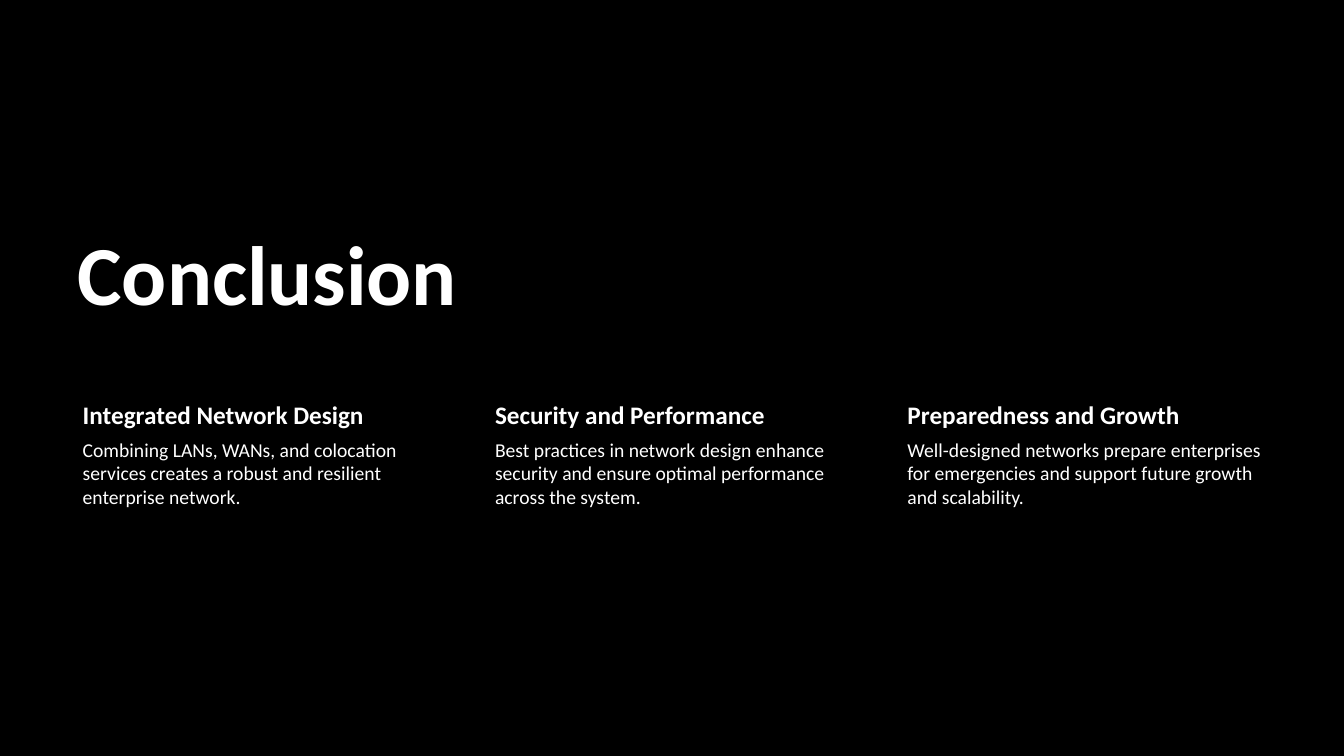
"""Build the conclusion slide with a title and three takeaways."""
from pptx import Presentation
from pptx.dml.color import RGBColor
from pptx.enum.text import MSO_ANCHOR
from pptx.util import Inches, Pt

BLACK = RGBColor(0, 0, 0)
WHITE = RGBColor(255, 255, 255)
POINTS = [
    ("Integrated Network Design",
     "Combining LANs, WANs, and colocation services creates a robust and "
     "resilient enterprise network."),
    ("Security and Performance",
     "Best practices in network design enhance security and ensure optimal "
     "performance across the system."),
    ("Preparedness and Growth",
     "Well-designed networks prepare enterprises for emergencies and support "
     "future growth and scalability."),
]


def add_text(text, left, top, width, height, size, bold=False):
    box = slide.shapes.add_textbox(
        Inches(left), Inches(top), Inches(width), Inches(height))
    frame = box.text_frame
    frame.word_wrap = True
    para = frame.paragraphs[0]
    para.text = text
    para.font.name = "Calibri"
    para.font.size = Pt(size)
    para.font.bold = bold
    para.font.color.rgb = WHITE
    return frame


deck = Presentation()
deck.slide_width = Inches(13.33)
deck.slide_height = Inches(7.5)
slide = deck.slides.add_slide(deck.slide_layouts[6])
slide.background.fill.solid()
slide.background.fill.fore_color.rgb = BLACK

title = add_text("Conclusion", 0.67, 2.02, 8.03, 1.24, 60, True)
title.vertical_anchor = MSO_ANCHOR.BOTTOM
title.paragraphs[0].line_spacing = 0.9

for col, (head, body) in enumerate(POINTS):
    left = 0.67 + col * 4.09
    label = add_text(head, left, 3.93, 3.72, 0.39, 18, True)
    detail = add_text(body, left, 4.32, 3.72, 2.33, 14)
    for frame, inset in ((label, 0.03), (detail, 0.02)):
        frame.margin_left = Inches(0.15)
        frame.margin_top = frame.margin_right = Inches(inset)
        frame.margin_bottom = Inches(inset)

deck.save("out.pptx")
